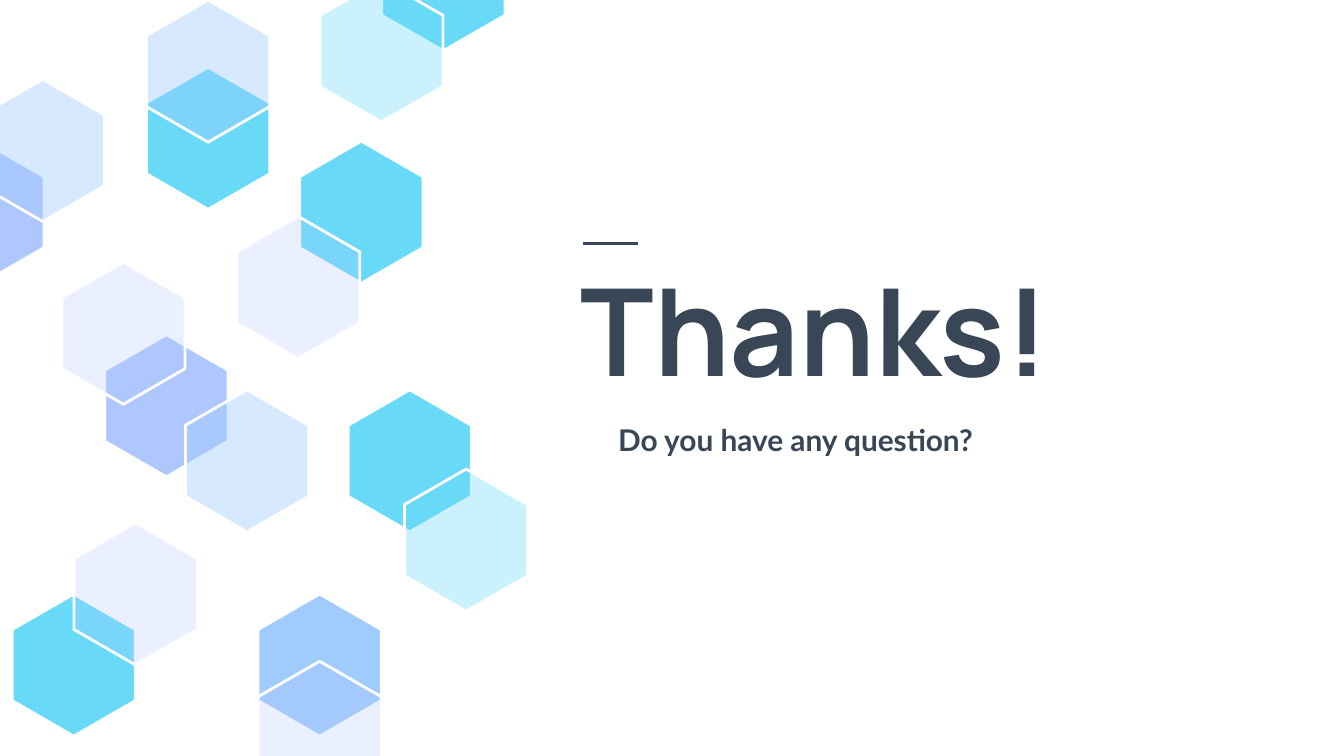
from dataclasses import dataclass
from enum import Enum

import pptx
import pptx.dml.color
import pptx.enum.shapes
import pptx.enum.text
import pptx.oxml.ns
import pptx.util
from lxml import etree

CELL = pptx.util.Inches(0.1)  # one column or row of the layout grid
COLUMNS, ROWS = 100, 56.25
HEX_WIDTH, HEX_HEIGHT = 9.17, 10.58


@dataclass(frozen=True)
class Theme:
    ink: str = "384655"
    paper: str = "FFFFFF"
    title_font: str = "Manrope"
    body_font: str = "Lato"
    title_size: int = 65
    body_size: int = 16
    line_width: float = 1.5


THEME = Theme()


class Tint(Enum):
    """Fill colour and opacity in percent."""
    CYAN = ("68DAF8", 100)
    PALE_CYAN = ("68DAF8", 34)
    SKY = ("9FCBFD", 100)
    PALE_SKY = ("9FCBFD", 41)
    PERIWINKLE = ("AFC7FF", 100)
    PALE_PERIWINKLE = ("AFC7FF", 25)


@dataclass(frozen=True)
class Hexagon:
    column: float
    row: float
    tint: Tint


HEXAGONS = [  # back to front
    Hexagon(0.9, 44.2, Tint.CYAN),
    Hexagon(10.9, 5, Tint.CYAN),
    Hexagon(22.3, 10.5, Tint.CYAN),
    Hexagon(-5.9, 10.5, Tint.PERIWINKLE),
    Hexagon(10.9, 0, Tint.PALE_SKY),
    Hexagon(7.8, 24.9, Tint.PERIWINKLE),
    Hexagon(4.6, 19.5, Tint.PALE_PERIWINKLE),
    Hexagon(17.6, 16.1, Tint.PALE_PERIWINKLE),
    Hexagon(28.4, -6.8, Tint.CYAN),
    Hexagon(13.8, 29, Tint.PALE_SKY),
    Hexagon(23.8, -1.5, Tint.PALE_CYAN),
    Hexagon(19.2, 44.2, Tint.SKY),
    Hexagon(25.9, 29, Tint.CYAN),
    Hexagon(5.5, 38.9, Tint.PALE_PERIWINKLE),
    Hexagon(19.2, 49.2, Tint.PALE_PERIWINKLE),
    Hexagon(-1.4, 5.9, Tint.PALE_SKY),
    Hexagon(30.1, 34.9, Tint.PALE_CYAN),
]


def grid(cells: float) -> pptx.util.Emu:
    return pptx.util.Emu(round(cells * CELL))


def rgb(colour: str) -> pptx.dml.color.RGBColor:
    return pptx.dml.color.RGBColor.from_string(colour)


def style_line(line, colour: str) -> None:
    line.color.rgb = rgb(colour)
    line.width = pptx.util.Pt(THEME.line_width)


def draw_hexagon(slide, hexagon: Hexagon) -> None:
    left, top = hexagon.column, hexagon.row
    middle, right = left + HEX_WIDTH / 2, left + HEX_WIDTH
    upper, lower = top + HEX_HEIGHT / 4, top + HEX_HEIGHT * 3 / 4
    corners = [(middle, top), (right, upper), (right, lower),
               (middle, top + HEX_HEIGHT), (left, lower), (left, upper)]
    first, *others = [(grid(x), grid(y)) for x, y in corners]
    outline = slide.shapes.build_freeform(*first)
    outline.add_line_segments(others, close=True)
    shape = outline.convert_to_shape()
    shape.shadow.inherit = False
    colour, opacity = hexagon.tint.value
    shape.fill.solid()
    shape.fill.fore_color.rgb = rgb(colour)
    if opacity < 100:
        qn = pptx.oxml.ns.qn
        fill = shape.element.spPr.find(qn("a:solidFill")).find(qn("a:srgbClr"))
        etree.SubElement(fill, qn("a:alpha"), val=str(opacity * 1000))
    style_line(shape.line, THEME.paper)


def draw_accent(slide, start: float, end: float, row: float) -> None:
    accent = slide.shapes.add_connector(
        pptx.enum.shapes.MSO_CONNECTOR.STRAIGHT,
        grid(start), grid(row), grid(end), grid(row))
    style_line(accent.line, THEME.ink)
    etree.SubElement(accent.element.spPr, pptx.oxml.ns.qn("a:effectLst"))


def fill_placeholder(holder, text: str, box: tuple[float, float, float, float],
                     font: str, size: int, anchor) -> None:
    holder.left, holder.top, holder.width, holder.height = map(grid, box)
    frame = holder.text_frame
    frame.text = text
    frame.word_wrap = True
    frame.auto_size = pptx.enum.text.MSO_AUTO_SIZE.NONE
    frame.vertical_anchor = anchor
    frame.margin_left = frame.margin_right = grid(1)
    frame.margin_top = frame.margin_bottom = grid(1)
    paragraph = frame.paragraphs[0]
    paragraph.alignment = pptx.enum.text.PP_ALIGN.LEFT
    paragraph.space_before = pptx.util.Pt(0)
    letters = paragraph.runs[0].font
    letters.name, letters.size, letters.bold = font, pptx.util.Pt(size), True
    letters.color.rgb = rgb(THEME.ink)


def main() -> None:
    deck = pptx.Presentation()
    deck.slide_width, deck.slide_height = grid(COLUMNS), grid(ROWS)
    slide = deck.slides.add_slide(deck.slide_layouts[0])
    slide.background.fill.solid()
    slide.background.fill.fore_color.rgb = rgb(THEME.paper)

    anchors = pptx.enum.text.MSO_ANCHOR
    fill_placeholder(slide.shapes.title, "Thanks!", (42.2, 18.1, 50, 12.7),
                     THEME.title_font, THEME.title_size, anchors.BOTTOM)
    question = slide.placeholders[1]
    fill_placeholder(question, "Do you have any question?", (41.3, 30, 50, 7.3),
                     THEME.body_font, THEME.body_size, anchors.TOP)
    paragraph = question.text_frame.paragraphs[0]
    paragraph.line_spacing = 1.15
    paragraph_format = paragraph.runs[0].font  # run format is set; indent below
    properties = question.element.find(".//" + pptx.oxml.ns.qn("a:pPr"))
    properties.set("marL", str(grid(3.7)))
    properties.set("indent", "0")

    for hexagon in HEXAGONS:
        draw_hexagon(slide, hexagon)
    draw_accent(slide, 43.4, 47.5, 18.1)
    deck.save("out.pptx")


if __name__ == "__main__":
    main()
